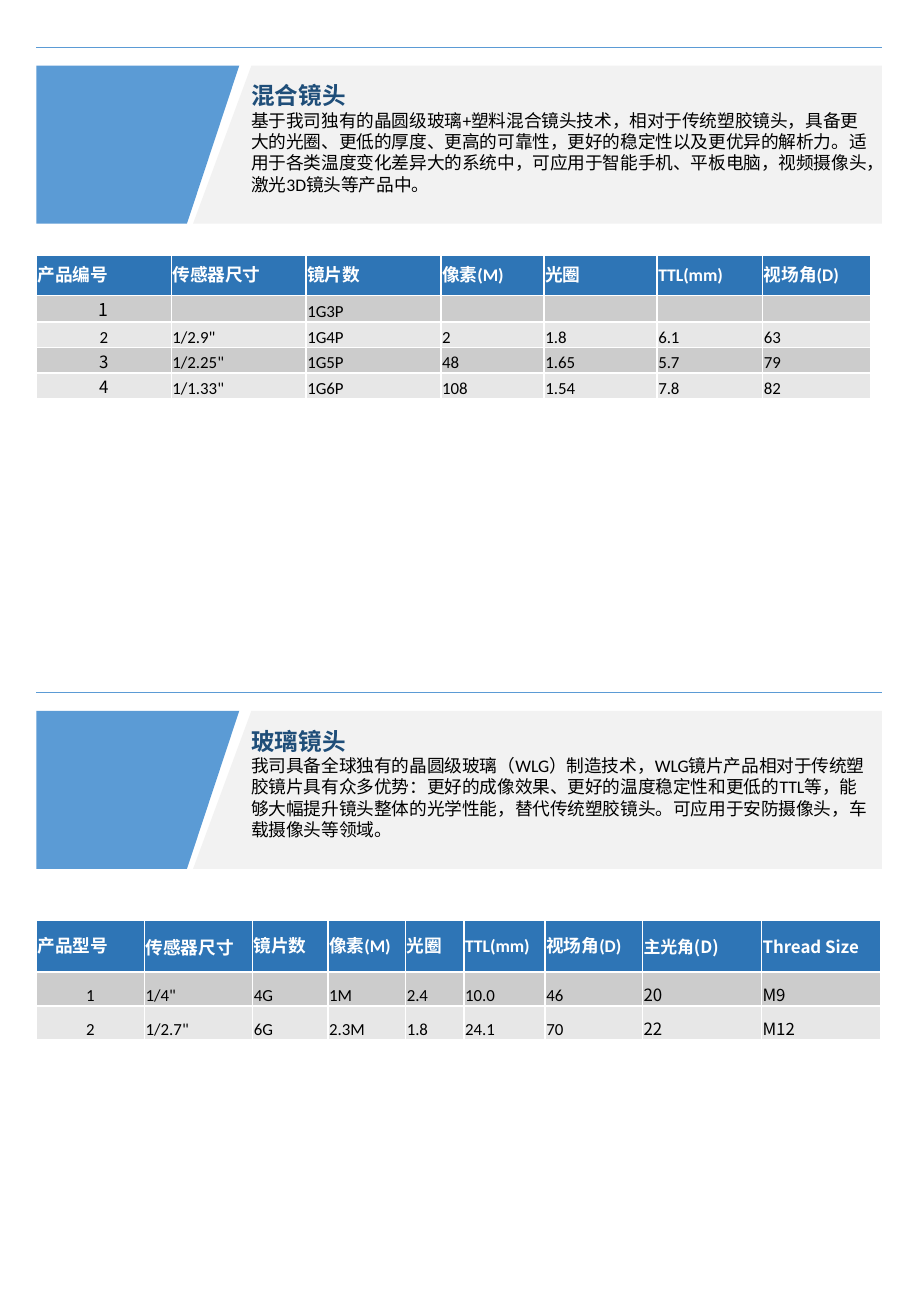
"""Build a portrait product sheet with a hybrid lens and a glass lens section."""
from lxml.etree import SubElement
from pptx import Presentation
from pptx.dml.color import RGBColor
from pptx.enum.shapes import MSO_CONNECTOR
from pptx.enum.text import MSO_ANCHOR, MSO_AUTO_SIZE, PP_ALIGN
from pptx.oxml import parse_xml
from pptx.oxml.ns import nsdecls, qn
from pptx.util import Inches, Pt

COLORS = {
    "accent": "5B9BD5", "panel": "F2F2F2", "title": "1F4E79", "header": "2E75B6",
    "odd": "CCCCCC", "even": "E7E7E7", "white": "FFFFFF", "black": "000000",
}
LATIN, CJK = "Calibri", "Noto Sans CJK SC"
LEFT, RIGHT = 0.3, 7.26

SECTIONS = [
    {
        "top": 0.39,
        "title": "混合镜头",
        "body": "基于我司独有的晶圆级玻璃+塑料混合镜头技术，相对于传统塑胶镜头，具备更大的光圈、更低的厚度、更高的可靠性，更好的稳定性以及更优异的解析力。适用于各类温度变化差异大的系统中，可应用于智能手机、平板电脑，视频摄像头，激光3D镜头等产品中。",
        "table_top": 2.1,
        "columns": [1.11, 1.11, 1.11, 0.85, 0.93, 0.87, 0.89],
        "heights": [0.33, 0.22, 0.21, 0.21, 0.21],
        "rows": [
            ["产品编号", "传感器尺寸", "镜片数", "像素(M)", "光圈", "TTL(mm)", "视场角(D)"],
            ["1", "", "1G3P", "", "", "", ""],
            ["2", '1/2.9"', "1G4P", "2", "1.8", "6.1", "63"],
            ["3", '1/2.25"', "1G5P", "48", "1.65", "5.7", "79"],
            ["4", '1/1.33"', "1G6P", "108", "1.54", "7.8", "82"],
        ],
        "cjk_cells": {(1, 0), (3, 0), (4, 0)},
        "sizes": {(1, 0): 10.5},
    },
    {
        "top": 5.7,
        "title": "玻璃镜头",
        "body": "我司具备全球独有的晶圆级玻璃（WLG）制造技术，WLG镜片产品相对于传统塑胶镜片具有众多优势：更好的成像效果、更好的温度稳定性和更低的TTL等，能够大幅提升镜头整体的光学性能，替代传统塑胶镜头。可应用于安防摄像头，车载摄像头等领域。",
        "table_top": 7.57,
        "columns": [0.89, 0.89, 0.62, 0.64, 0.48, 0.67, 0.8, 0.98, 0.98],
        "heights": [0.43, 0.28, 0.28],
        "rows": [
            ["产品型号", "传感器尺寸", "镜片数", "像素(M)", "光圈", "TTL(mm)", "视场角(D)", "主光角(D)", "Thread Size"],
            ["1", '1/4"', "4G", "1M", "2.4", "10.0", "46", "20", "M9"],
            ["2", '1/2.7"', "6G", "2.3M", "1.8", "24.1", "70", "22", "M12"],
        ],
        "cjk_cells": {(0, 1)} | {(row, column) for row in range(3) for column in (7, 8)},
        "sizes": {(0, 7): 10, (0, 8): 10},
    },
]


def add_run(paragraph, text, size, color, bold=False, font=LATIN):
    run = paragraph.add_run()
    run.text = text
    run.font.size = Pt(size)
    run.font.bold = bold
    run.font.color.rgb = RGBColor.from_string(COLORS[color])
    run.font.name = font
    SubElement(run.font._element, qn("a:ea")).set("typeface", font)


def add_polygon(slide, points, color):
    corners = [(Inches(x), Inches(y)) for x, y in points]
    builder = slide.shapes.build_freeform(*corners[0])
    builder.add_line_segments(corners[1:], close=True)
    shape = builder.convert_to_shape()
    shape.shadow.inherit = False
    shape.fill.solid()
    shape.fill.fore_color.rgb = RGBColor.from_string(COLORS[color])
    shape.line.fill.background()


presentation = Presentation()
presentation.slide_width = Inches(7.5)
presentation.slide_height = Inches(10.83)
slide = presentation.slides.add_slide(presentation.slide_layouts[6])

for section in SECTIONS:
    rows, columns = section["rows"], section["columns"]
    table = slide.shapes.add_table(
        len(rows), len(columns), Inches(LEFT), Inches(section["table_top"]),
        Inches(sum(columns)), Inches(sum(section["heights"])),
    ).table
    for column, width in enumerate(columns):
        table.columns[column].width = Inches(width)
    for row, values in enumerate(rows):
        table.rows[row].height = Inches(section["heights"][row])
        header = row == 0
        fill = "header" if header else "odd" if row % 2 else "even"
        for column, value in enumerate(values):
            cell = table.cell(row, column)
            cell.margin_left = cell.margin_right = cell.margin_top = Inches(0.01)
            cell.margin_bottom = 0
            cell.vertical_anchor = MSO_ANCHOR.MIDDLE if header else MSO_ANCHOR.BOTTOM
            for side in ("lnL", "lnR", "lnT", "lnB"):
                cell._tc.get_or_add_tcPr().append(parse_xml(
                    f'<a:{side} {nsdecls("a")} w="12700"><a:solidFill>'
                    f'<a:srgbClr val="{COLORS["white"]}"/></a:solidFill></a:{side}>'
                ))
            cell.fill.solid()
            cell.fill.fore_color.rgb = RGBColor.from_string(COLORS[fill])
            paragraph = cell.text_frame.paragraphs[0]
            if not header and column == 0:
                paragraph.alignment = PP_ALIGN.CENTER
            if value:
                size = section["sizes"].get((row, column), 10.5 if header else 10)
                font = CJK if (row, column) in section["cjk_cells"] else LATIN
                add_run(paragraph, value, size, "white" if header else "black", header, font)
            else:
                SubElement(paragraph._p, qn("a:endParaRPr")).set("sz", "1000")

    top = section["top"]
    rule = slide.shapes.add_connector(
        MSO_CONNECTOR.STRAIGHT, Inches(LEFT), Inches(top), Inches(RIGHT), Inches(top))
    rule.line.color.rgb = RGBColor.from_string(COLORS["accent"])
    rule.line.width = Pt(0.5)
    SubElement(rule._element.spPr, qn("a:effectLst"))

    upper, lower = top + 0.15, top + 1.45
    add_polygon(slide, [(2.07, upper), (RIGHT, upper), (RIGHT, lower), (1.59, lower)], "panel")
    add_polygon(slide, [(LEFT, upper), (1.97, upper), (1.54, lower), (LEFT, lower)], "accent")

    box = slide.shapes.add_textbox(Inches(1.97), Inches(top + 0.23), Inches(5.29), Inches(1.04))
    frame = box.text_frame
    frame.word_wrap = True
    frame.auto_size = MSO_AUTO_SIZE.SHAPE_TO_FIT_TEXT
    add_run(frame.paragraphs[0], section["title"], 14, "title", True)
    add_run(frame.add_paragraph(), section["body"], 10.5, "black")

presentation.save("out.pptx")
